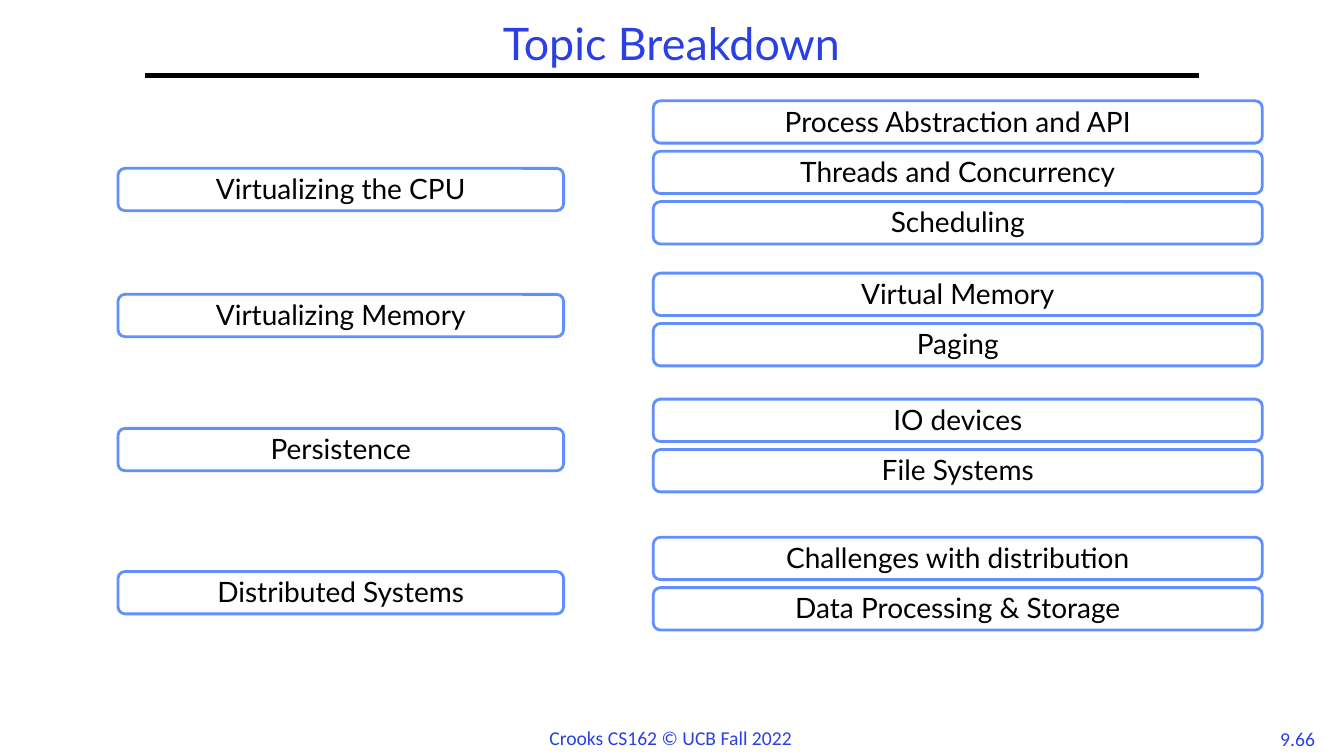
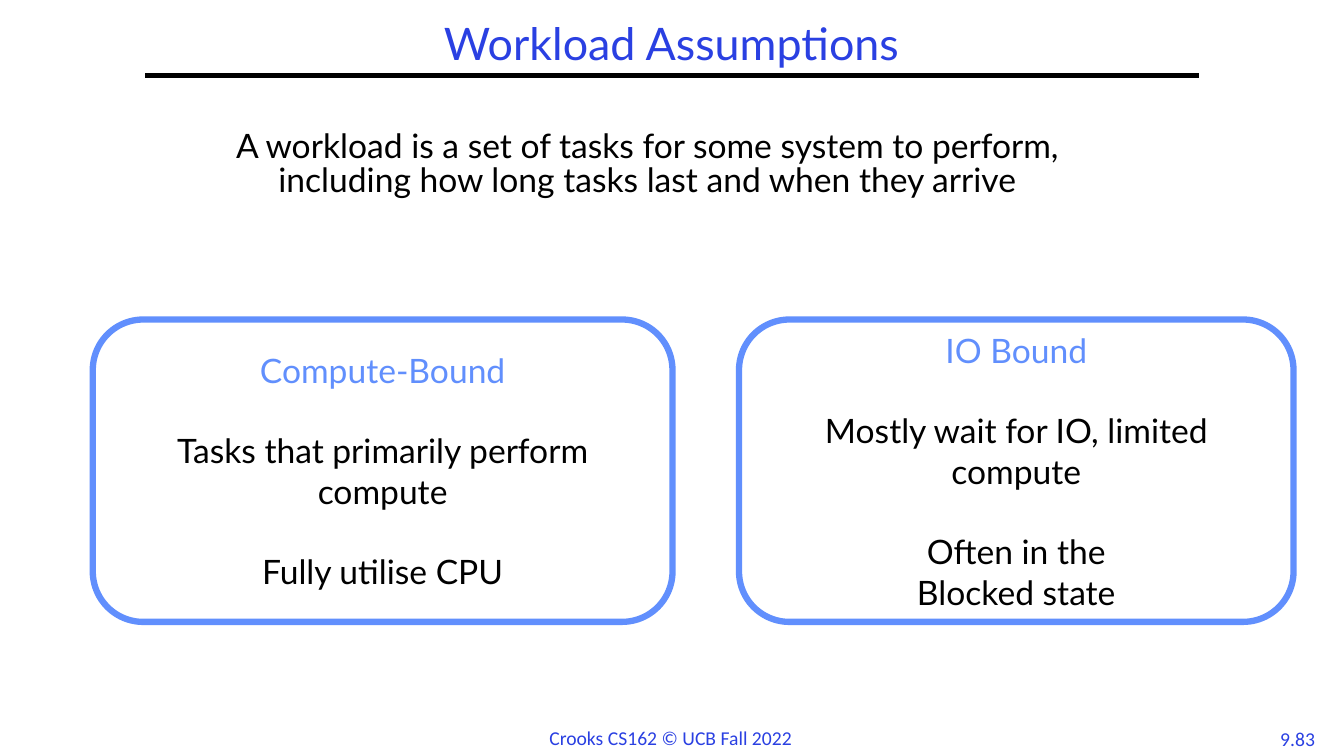
from lxml import etree
from pptx import Presentation
from pptx.dml.color import RGBColor
from pptx.enum.shapes import MSO_CONNECTOR, MSO_SHAPE
from pptx.enum.text import MSO_ANCHOR, MSO_AUTO_SIZE, PP_ALIGN
from pptx.oxml.ns import qn
from pptx.util import Inches, Pt

BLUE = RGBColor(0x2A, 0x40, 0xE2)
SKY = RGBColor(0x61, 0x8F, 0xFD)
BLACK = RGBColor(0, 0, 0)
WHITE = RGBColor(0xFF, 0xFF, 0xFF)
LATO, CALIBRI = "Lato", "Calibri"
LEFT, CENTER = PP_ALIGN.LEFT, PP_ALIGN.CENTER
TOP, MIDDLE = MSO_ANCHOR.TOP, MSO_ANCHOR.MIDDLE
NO_AUTOFIT = MSO_AUTO_SIZE.NONE
ROUNDED = MSO_SHAPE.ROUNDED_RECTANGLE
STRAIGHT = MSO_CONNECTOR.STRAIGHT
TITLE_AND_BODY, TITLE_ONLY = 1, 5

TOPIC_LEFT, TOPIC_WIDTH = 1.17, 4.42
DETAIL_LEFT, DETAIL_WIDTH, DETAIL_PITCH = 6.48, 6.04, 0.5
CHIP_HEIGHT = 0.42
TOPICS = [
    ("Virtualizing the CPU", 1.67, 1.0,
     ["Process Abstraction and API", "Threads and Concurrency", "Scheduling"]),
    ("Virtualizing Memory", 2.92, 2.71, ["Virtual Memory", "Paging"]),
    ("Persistence", 4.25, 3.96, ["IO devices", "File Systems"]),
    ("Distributed Systems", 5.67, 5.33,
     ["Challenges with distribution", "Data Processing & Storage"]),
]
WORKLOADS = [
    (0.92, 5.75, "Compute-Bound",
     [["Tasks that primarily perform compute"], ["Fully utilise CPU"]]),
    (7.33, 5.5, "IO Bound",
     [["Mostly wait for IO, limited compute"],
      ["Often in the", "Blocked state"]]),
]


class Deck:
    """Lecture slides with a shared style and one current slide."""

    def __init__(self):
        self.prs = Presentation()
        self.prs.slide_width, self.prs.slide_height = Inches(13.33), Inches(7.5)
        self.slide = None

    def add_slide(self, layout, title, number):
        self.slide = self.prs.slides.add_slide(self.prs.slide_layouts[layout])
        self.place(self.slide.shapes.title, (1.44, 0.17, 10.44, 0.58), MIDDLE)
        self.set_text(self.slide.shapes.title.text_frame.paragraphs[0],
                      title, 32, BLUE, spacing=0.9)
        self.rule()
        self.footer(number, (12.58, 7.16, 0.58, 0.33), CENTER)
        self.footer("Crooks CS162 © UCB Fall 2022", (5.35, 7.15, 2.63, 0.34), LEFT)

    def place(self, holder, box, anchor):
        holder.left, holder.top, holder.width, holder.height = map(Inches, box)
        frame = holder.text_frame
        frame.auto_size = NO_AUTOFIT
        frame.word_wrap = True
        frame.vertical_anchor = anchor

    def set_text(self, paragraph, text, size, color, font=LATO, align=CENTER,
                 spacing=1.0, before=0):
        paragraph.text = text
        paragraph.alignment = align
        paragraph.line_spacing = spacing
        paragraph.space_before = Pt(before)
        paragraph.font.name = font
        paragraph.font.size = Pt(size)
        paragraph.font.color.rgb = color

    def rule(self):
        line = self.slide.shapes.add_connector(
            STRAIGHT, Inches(1.44), Inches(0.75), Inches(11.89), Inches(0.75))
        line.line.color.rgb = BLACK
        line.line.width = Pt(3)
        etree.SubElement(line._element.spPr, qn("a:effectLst"))

    def footer(self, text, box, align):
        frame = self.slide.shapes.add_textbox(*map(Inches, box)).text_frame
        frame.word_wrap = False
        self.set_text(frame.paragraphs[0], text, 14, BLUE, CALIBRI, align)

    def body(self, text, box):
        holder = self.slide.placeholders[1]
        self.place(holder, box, TOP)
        paragraph = holder.text_frame.paragraphs[0]
        properties = paragraph._p.get_or_add_pPr()
        properties.set("marL", "0")
        properties.set("indent", "0")
        etree.SubElement(properties, qn("a:buNone"))
        self.set_text(paragraph, text, 24, BLACK, spacing=0.85)

    def outline(self, box, weight, anchor):
        panel = self.slide.shapes.add_shape(ROUNDED, *map(Inches, box))
        panel.shadow.inherit = False
        panel.fill.solid()
        panel.fill.fore_color.rgb = WHITE
        panel.line.color.rgb = SKY
        panel.line.width = Pt(weight)
        panel.text_frame.word_wrap = True
        panel.text_frame.vertical_anchor = anchor
        return panel.text_frame

    def chip(self, text, left, top, width):
        frame = self.outline((left, top, width, CHIP_HEIGHT), 2, TOP)
        self.set_text(frame.paragraphs[0], text, 20, BLACK, spacing=0.9)

    def card(self, heading, groups, box):
        frame = self.outline(box, 4.5, MIDDLE)
        self.set_text(frame.paragraphs[0], heading, 24, SKY)
        for group in groups:
            for index, text in enumerate(group):
                self.set_text(frame.add_paragraph(), text, 24, BLACK,
                              before=0 if index else 28.8)


def main():
    deck = Deck()

    deck.add_slide(TITLE_ONLY, "Topic Breakdown", "9.66")
    for topic, topic_top, first_top, details in TOPICS:
        deck.chip(topic, TOPIC_LEFT, topic_top, TOPIC_WIDTH)
        for row, detail in enumerate(details):
            deck.chip(detail, DETAIL_LEFT, first_top + row * DETAIL_PITCH, DETAIL_WIDTH)

    deck.add_slide(TITLE_AND_BODY, "Workload Assumptions", "9.83")
    deck.body("A workload is a set of tasks for some system to perform, "
              "including how long tasks last and when they arrive",
              (1.67, 1.25, 9.5, 5.58))
    for left, width, heading, groups in WORKLOADS:
        deck.card(heading, groups, (left, 3.17, width, 3))

    deck.prs.save("out.pptx")


if __name__ == "__main__":
    main()
